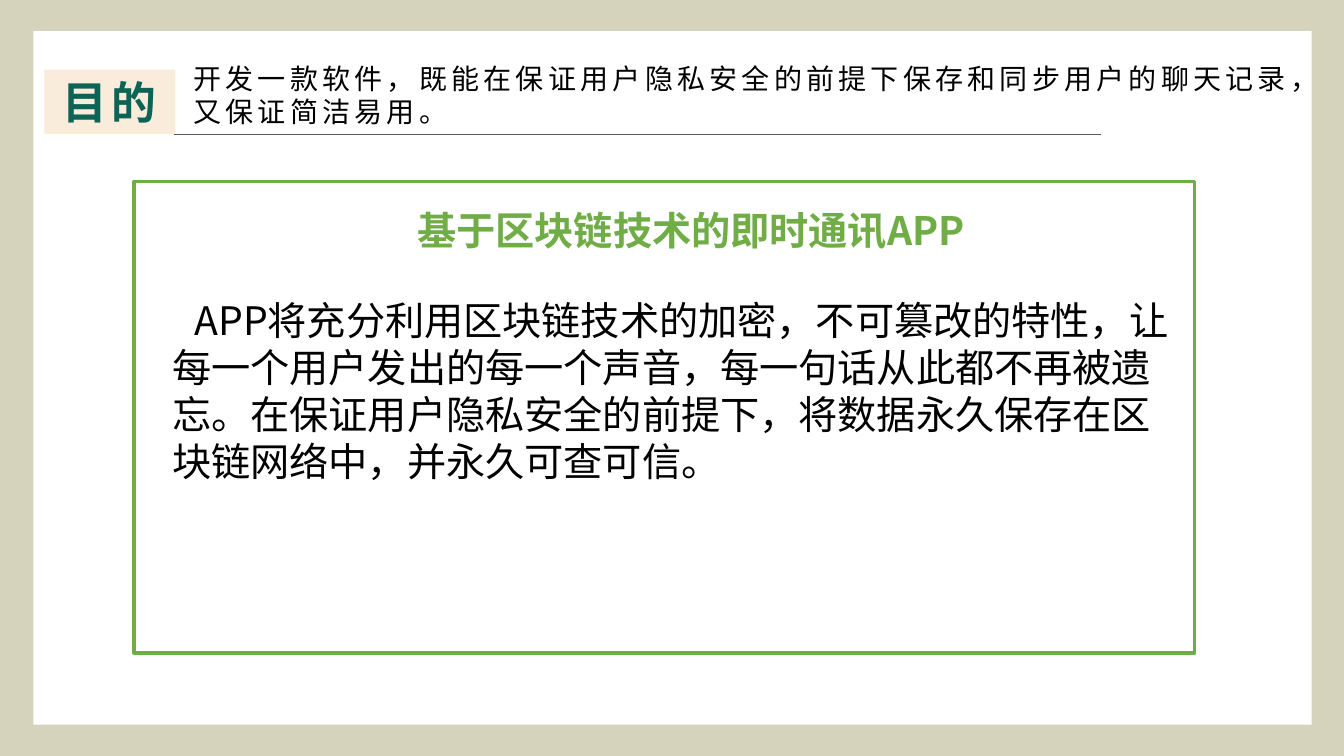
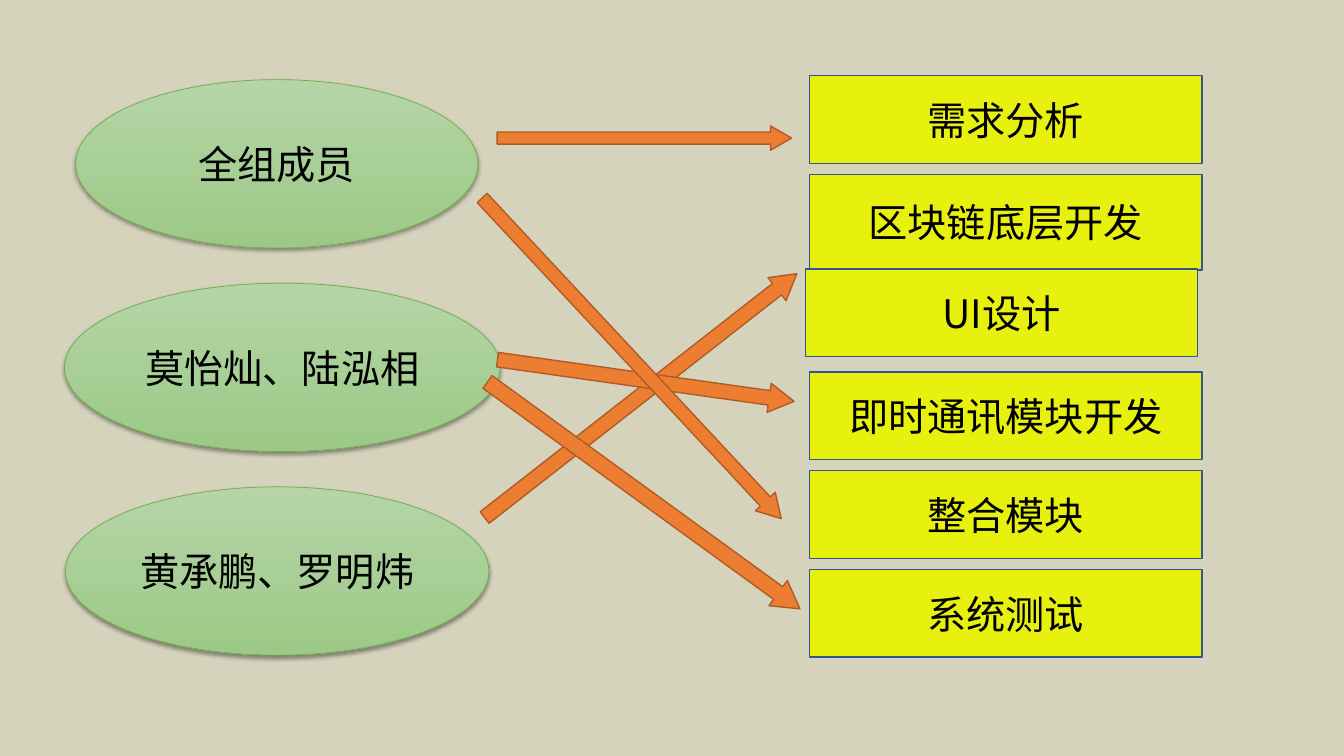
from pptx import Presentation
from pptx import util as u
from pptx.dml.color import RGBColor
from pptx.enum import shapes, text
from pptx.oxml import parse_xml
from pptx.oxml.ns import nsdecls, qn

FONT = "Noto Sans CJK SC"
BACK, WHITE, BLACK, GREEN = "D6D3BD", "FFFFFF", "000000", "70AD47"
MSO = shapes.MSO_SHAPE

TITLE = "目的"
GOAL = "开发一款软件，既能在保证用户隐私安全的前提下保存和同步用户的聊天记录，又保证简洁易用。"
HEADING = "基于区块链技术的即时通讯APP"
BODY = ("APP将充分利用区块链技术的加密，不可篡改的特性，让每一个用户发出的每一个声音，"
        "每一句话从此都不再被遗忘。在保证用户隐私安全的前提下，"
        "将数据永久保存在区块链网络中，并永久可查可信。")

MEMBERS = [
    ("全组成员", 0.75, 3.99),
    ("莫怡灿、陆泓相", 0.64, 4.32),
    ("黄承鹏、罗明炜", 0.65, 4.2),
]
TASKS = [
    ("需求分析", 0, 0, 0.87),
    ("区块链底层开发", 0, 0, 0.95),
    ("UI设计", -0.04, -0.04, 0.87),
    ("即时通讯模块开发", 0, 0, 0.87),
    ("整合模块", 0, 0, 0.87),
    ("系统测试", 0, 0, 0.87),
]
ARROWS = [
    ((4.93, 1.25, 2.92, 0.24), 0),
    ((4.39, 3.78, 3.93, 0.29), 322),
    ((4.92, 3.63, 2.97, 0.29), 8),
    ((4.09, 3.42, 4.35, 0.27), 47),
    ((4.47, 4.76, 3.83, 0.31), 36),
]
MEMBER_TOP, MEMBER_PITCH, MEMBER_H = 0.79, 2.02, 1.67
TASK_LEFT, TASK_TOP, TASK_PITCH, TASK_W = 8.03, 0.75, 0.98, 3.89


def rgb(code):
    return RGBColor.from_string(code)


def paint(sp, color):
    sp.fill.solid()
    sp.fill.fore_color.rgb = rgb(color)


def outline(sp, color, width):
    sp.line.color.rgb = rgb(color)
    sp.line.width = u.Pt(width)


def write(sp, words, size, color=BLACK, bold=False, spacing=0, align=None):
    tf = sp.text_frame
    tf.word_wrap = True
    p = tf.paragraphs[0]
    p.text = words
    p.alignment = align
    font = p.font
    font.name, font.size, font.bold = FONT, u.Pt(size), bold
    font.color.rgb = rgb(color)
    props = p._p.pPr.find(qn("a:defRPr"))
    props.append(parse_xml(f'<a:ea {nsdecls("a")} typeface="{FONT}"/>'))
    if spacing:
        props.set("spc", str(spacing * 100))
    return p


def shape(s, kind, box, fill=None, line=None, width=1):
    sp = s.shapes.add_shape(kind, *map(u.Inches, box))
    sp.shadow.inherit = False
    if fill:
        paint(sp, fill)
    if line:
        outline(sp, line, width)
    else:
        sp.line.fill.background()
    return sp


def textbox(s, box, words, size, **style):
    sp = s.shapes.add_textbox(*map(u.Inches, box))
    p = write(sp, words, size, **style)
    p.line_spacing = u.Pt(round(size * 1.2, 1))
    return p


def label(sp, words):
    sp.text_frame.vertical_anchor = text.MSO_ANCHOR.MIDDLE
    write(sp, words, 28, align=text.PP_ALIGN.CENTER)


def purpose_slide(prs):
    s = prs.slides.add_slide(prs.slide_layouts[5])
    panel = shape(s, MSO.RECTANGLE, (0.33, 0.31, 12.68, 6.88), WHITE)
    title = s.shapes.title
    panel._element.addnext(title._element)
    title.left, title.top, title.width, title.height = map(u.Inches, (0.44, 0.69, 1.3, 0.64))
    paint(title, "F9ECDB")
    title.text_frame.vertical_anchor = text.MSO_ANCHOR.MIDDLE
    title.text_frame.auto_size = text.MSO_AUTO_SIZE.NONE
    write(title, TITLE, 32, "0C6356", True, 3, text.PP_ALIGN.CENTER)
    textbox(s, (1.82, 0.56, 11.32, 0.77), GOAL, 20, spacing=3)
    rule = s.shapes.add_connector(
        shapes.MSO_CONNECTOR.STRAIGHT, *map(u.Inches, (1.73, 1.33, 10.92, 1.33)))
    outline(rule, "595959", 0.5)
    rule._element.spPr.append(parse_xml(f'<a:effectLst {nsdecls("a")}/>'))
    shape(s, MSO.RECTANGLE, (1.33, 1.8, 10.52, 4.68), WHITE, GREEN, 2.5)
    textbox(s, (4.04, 2, 5.69, 0.57), HEADING, 28, color=GREEN, bold=True)
    p = textbox(s, (1.61, 2.89, 10.12, 1.97), BODY, 28)
    p._p.pPr.set("indent", str(u.Inches(0.22)))


def member(s, name, box):
    sp = shape(s, MSO.OVAL, box, line=GREEN, width=0.5)
    sp.fill.gradient()
    sp.fill.gradient_angle = 270
    for stop, color in zip(sp.fill.gradient_stops, ("B5D5A7", "9CC987")):
        stop.color.rgb = rgb(color)
    sp._element.spPr.find(qn("a:effectLst")).append(parse_xml(
        f'<a:outerShdw {nsdecls("a")} blurRad="{u.Pt(3.1)}" dist="{u.Pt(1.6)}" '
        'dir="5400000" algn="ctr" rotWithShape="0"><a:srgbClr val="000000">'
        '<a:alpha val="38000"/></a:srgbClr></a:outerShdw>'))
    label(sp, name)


def roles_slide(prs):
    s = prs.slides.add_slide(prs.slide_layouts[6])
    for i, (name, dx, dy, height) in enumerate(TASKS):
        box = (TASK_LEFT + dx, TASK_TOP + TASK_PITCH * i + dy, TASK_W, height)
        label(shape(s, MSO.RECTANGLE, box, "E8F00E", "325491"), name)
    for i, (name, left, width) in enumerate(MEMBERS):
        member(s, name, (left, MEMBER_TOP + MEMBER_PITCH * i, width, MEMBER_H))
    for box, angle in ARROWS:
        arrow = shape(s, MSO.RIGHT_ARROW, box, "ED7D31", "AF5C24")
        arrow.adjustments[1] = 0.86
        arrow.rotation = angle


prs = Presentation()
prs.slide_width, prs.slide_height = u.Inches(13.33), u.Inches(7.5)
paint(prs.slide_master.background, BACK)
purpose_slide(prs)
roles_slide(prs)
prs.save("out.pptx")
